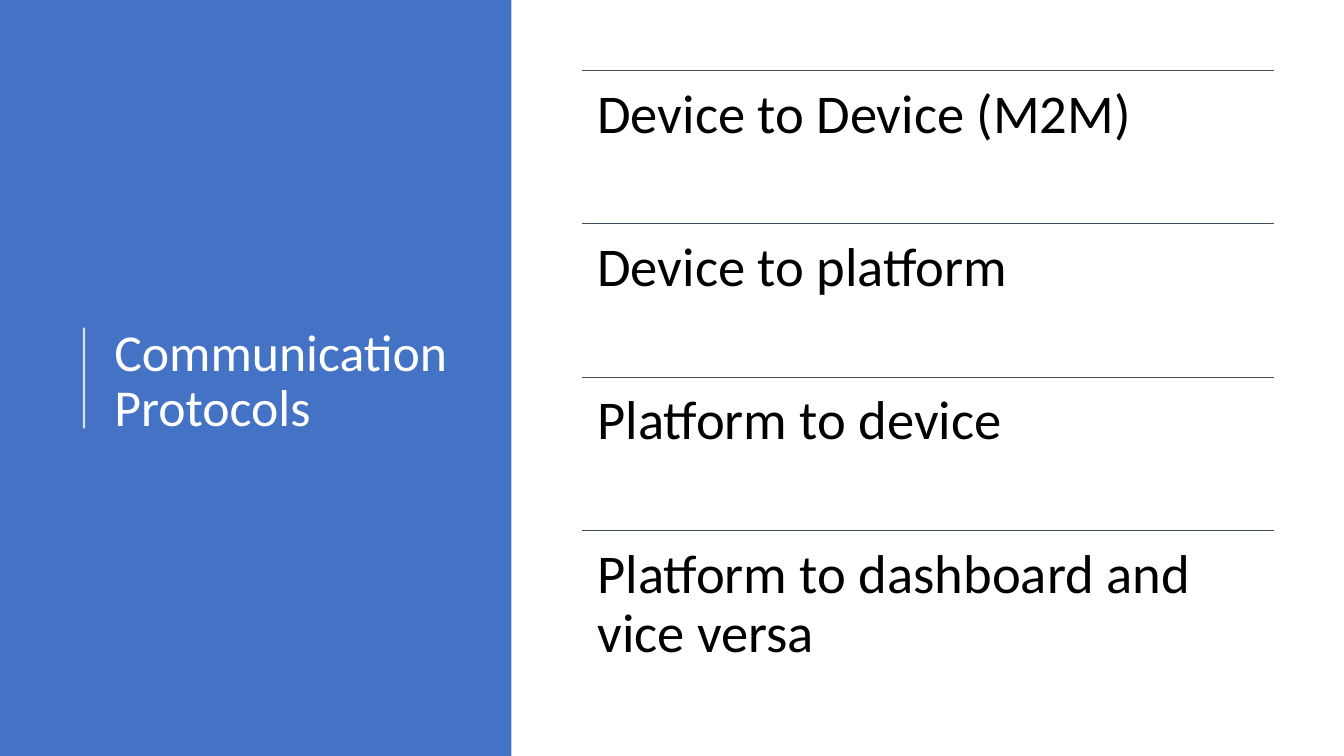
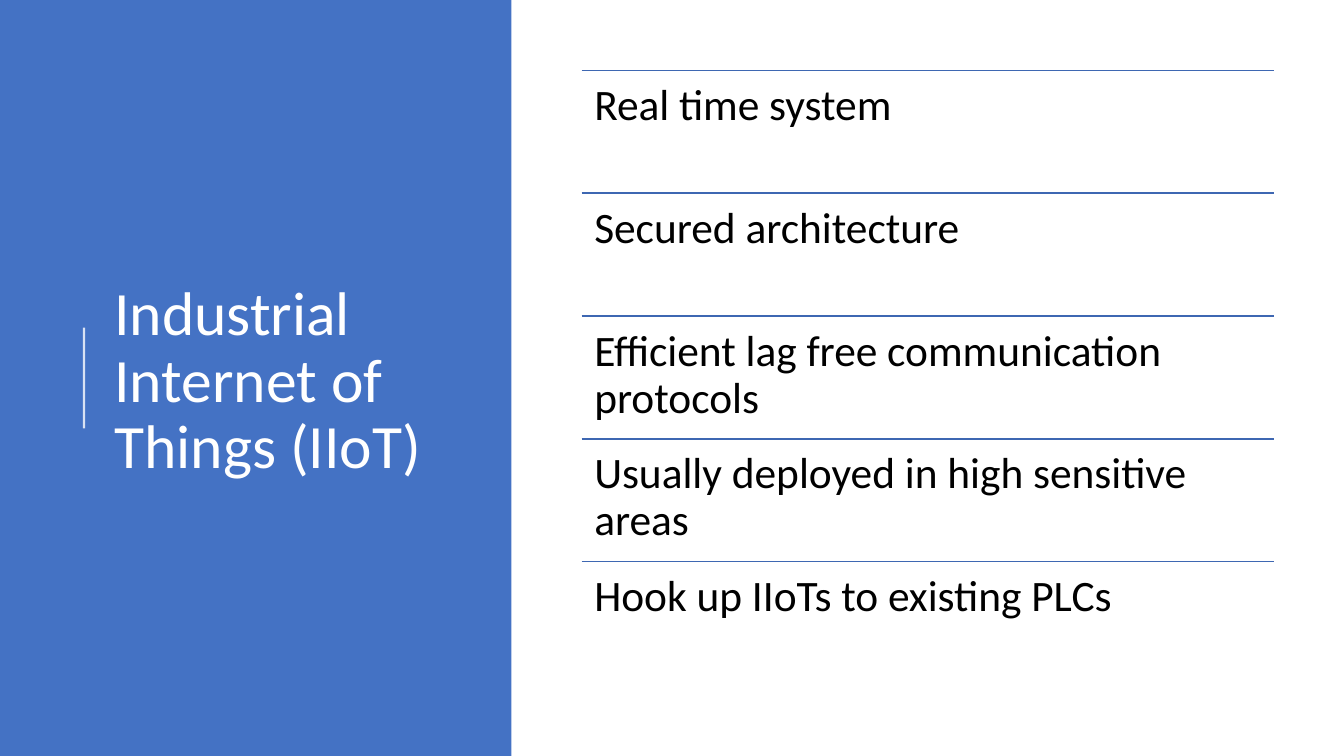
from dataclasses import dataclass

from lxml.etree import SubElement
from pptx import Presentation
from pptx.dml.color import RGBColor
from pptx.enum.shapes import MSO_CONNECTOR, MSO_SHAPE
from pptx.enum.text import MSO_ANCHOR
from pptx.oxml.ns import qn
from pptx.shapes.connector import Connector
from pptx.slide import Slide
from pptx.util import Emu, Pt

# Shared look
PANEL_BLUE = RGBColor(0x44, 0x72, 0xC4)
RULE_SLATE = RGBColor(0x3E, 0x4C, 0x60)
RULE_BLUE = RGBColor(0x3E, 0x67, 0xB2)
WHITE = RGBColor(0xFF, 0xFF, 0xFF)
BLACK = RGBColor(0x00, 0x00, 0x00)
FONT = "Calibri"
LINE_SPACING = 0.9

# Lengths in px, 96 to the inch
PAGE_WIDTH, PAGE_HEIGHT = 1280, 720
PANEL_WIDTH = 487
LIST_LEFT, LIST_TOP, LIST_WIDTH, LIST_HEIGHT = 554, 67, 659, 585


@dataclass(frozen=True)
class Box:
    left: int
    top: int
    width: int
    height: int


@dataclass(frozen=True)
class TextStyle:
    size: int
    color: RGBColor
    inset_x: int
    inset_y: int
    anchor: MSO_ANCHOR = MSO_ANCHOR.TOP


@dataclass(frozen=True)
class Topic:
    title: str
    title_size: int
    items: tuple[str, ...]
    item_style: TextStyle
    rule_color: RGBColor
    rule_width: float


TITLE_BOX = Box(99, 75, 354, 578)

TOPICS = (
    Topic(
        "Communication Protocols",
        37,
        (
            "Device to Device (M2M)",
            "Device to platform",
            "Platform to device",
            "Platform to dashboard and vice versa",
        ),
        TextStyle(39, BLACK, 15, 15),
        RULE_SLATE,
        0.5,
    ),
    Topic(
        "Industrial Internet of Things (IIoT)",
        44,
        (
            "Real time system",
            "Secured architecture",
            "Efficient lag free communication protocols",
            "Usually deployed in high sensitive areas",
            "Hook up IIoTs to existing PLCs",
        ),
        TextStyle(31, BLACK, 12, 12),
        RULE_BLUE,
        1,
    ),
)


def px(length: int) -> Emu:
    return Emu(length * 9525)


def add_text(page: Slide, box: Box, text: str, style: TextStyle) -> None:
    shape = page.shapes.add_textbox(
        px(box.left), px(box.top), px(box.width), px(box.height)
    )
    frame = shape.text_frame
    frame.word_wrap = True
    frame.vertical_anchor = style.anchor
    frame.margin_left = frame.margin_right = px(style.inset_x)
    frame.margin_top = frame.margin_bottom = px(style.inset_y)
    para = frame.paragraphs[0]
    para.text = text
    para.line_spacing = LINE_SPACING
    para.font.name = FONT
    para.font.size = Pt(style.size)
    para.font.color.rgb = style.color


def add_line(
    page: Slide,
    start: tuple[int, int],
    end: tuple[int, int],
    color: RGBColor,
    width: float,
) -> Connector:
    line = page.shapes.add_connector(
        MSO_CONNECTOR.STRAIGHT, px(start[0]), px(start[1]), px(end[0]), px(end[1])
    )
    line.line.color.rgb = color
    line.line.width = Pt(width)
    SubElement(line._element.spPr, qn("a:effectLst"))
    return line


def add_title_panel(page: Slide, title: str, size: int) -> None:
    panel = page.shapes.add_shape(
        MSO_SHAPE.RECTANGLE, 0, 0, px(PANEL_WIDTH), px(PAGE_HEIGHT)
    )
    panel.shadow.inherit = False
    panel.fill.solid()
    panel.fill.fore_color.rgb = PANEL_BLUE
    panel.line.fill.background()

    # Accent line at 80 % opacity
    accent = add_line(page, (80, 408), (80, 312), WHITE, 1.5)
    color = accent._element.spPr.find(".//" + qn("a:srgbClr"))
    SubElement(color, qn("a:alpha"), val="80000")

    add_text(page, TITLE_BOX, title, TextStyle(size, WHITE, 10, 5, MSO_ANCHOR.MIDDLE))


def add_ruled_list(page: Slide, topic: Topic) -> None:
    count = len(topic.items)
    for index, item in enumerate(topic.items):
        top = LIST_TOP + LIST_HEIGHT * index // count
        add_line(
            page,
            (LIST_LEFT, top),
            (LIST_LEFT + LIST_WIDTH, top),
            topic.rule_color,
            topic.rule_width,
        )
        row = Box(LIST_LEFT, top, LIST_WIDTH, LIST_HEIGHT // count)
        add_text(page, row, item, topic.item_style)


def main() -> None:
    deck = Presentation()
    deck.slide_width, deck.slide_height = px(PAGE_WIDTH), px(PAGE_HEIGHT)
    blank = deck.slide_layouts[6]
    for topic in TOPICS:
        page = deck.slides.add_slide(blank)
        add_title_panel(page, topic.title, topic.title_size)
        add_ruled_list(page, topic)
    deck.save("out.pptx")


if __name__ == "__main__":
    main()
